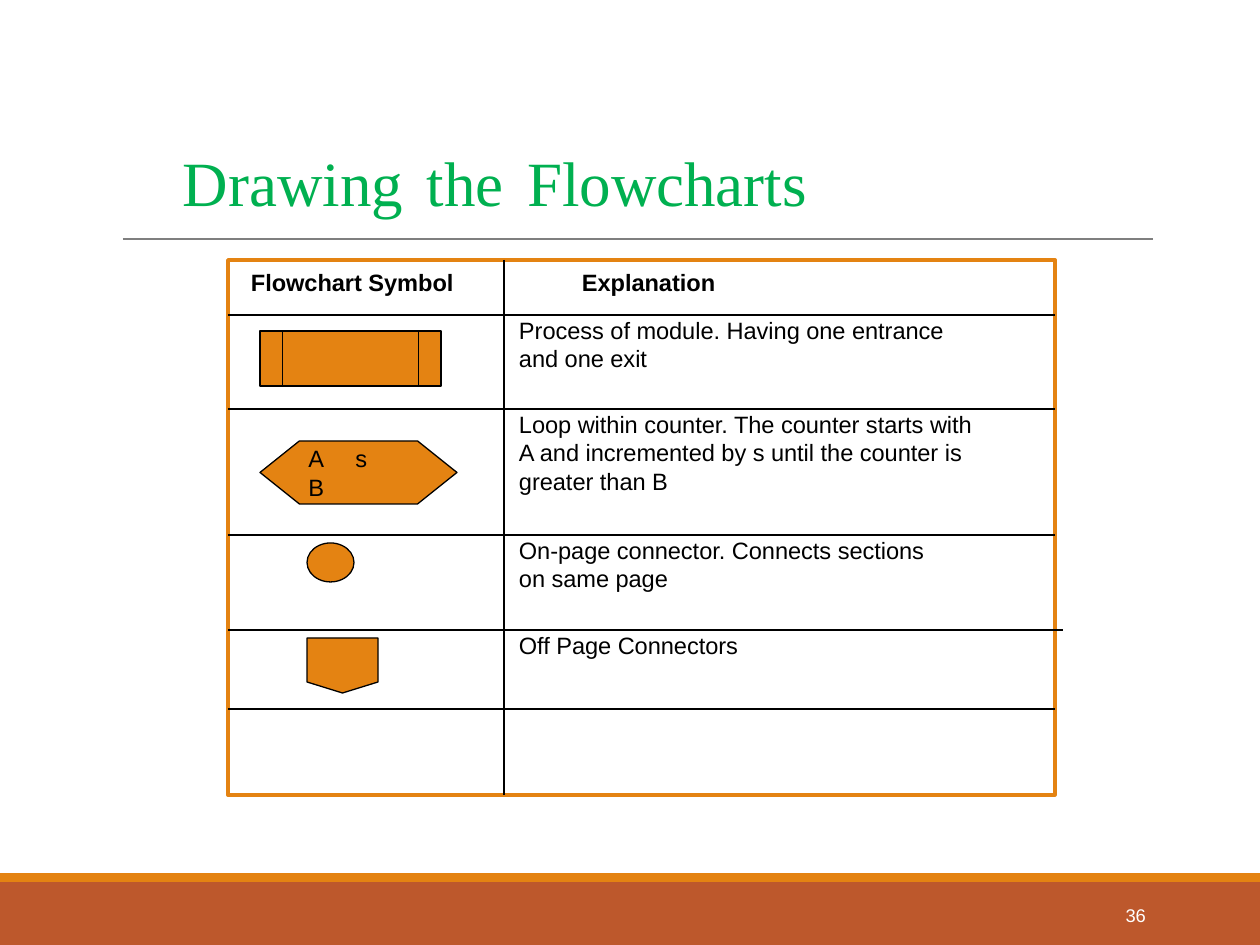
from dataclasses import dataclass

from lxml import etree
from pptx import Presentation
from pptx.dml.color import RGBColor
from pptx.enum.shapes import MSO_CONNECTOR, MSO_SHAPE
from pptx.enum.text import MSO_ANCHOR, MSO_AUTO_SIZE, PP_ALIGN
from pptx.oxml.ns import qn
from pptx.util import Emu, Pt

LEFT, RIGHT = PP_ALIGN.LEFT, PP_ALIGN.RIGHT
TOP, MIDDLE = MSO_ANCHOR.TOP, MSO_ANCHOR.MIDDLE
RECTANGLE = MSO_SHAPE.RECTANGLE
PX_PER_INCH = 126
COLORS = {
    "orange": "E48312", "rust": "BD582C", "gray": "7F7F7F", "black": "000000",
    "white": "FFFFFF", "green": "00B050", "magenta": "CC00FF",
}
TABLE_LEFT, TABLE_TOP, TABLE_RIGHT, TABLE_BOTTOM = 228, 260, 1055, 795
COLUMN_X = 504
TEXT_X = 510
TEXT_RISE = 4  # explanations start slightly above the row line
BODY = {"name": "Arial", "size": 13.5, "color": "black"}
HEADING = {**BODY, "bold": True}


@dataclass
class Box:
    x: int
    y: int
    width: int
    height: int


@dataclass
class Symbol:
    kind: int
    box: Box
    text: str = ""


@dataclass
class Explanation:
    row_top: int
    width: int
    height: int
    text: str


SYMBOLS = [
    Symbol(MSO_SHAPE.FLOWCHART_PREDEFINED_PROCESS, Box(260, 331, 181, 55)),
    Symbol(MSO_SHAPE.FLOWCHART_PREPARATION, Box(260, 441, 197, 63), "A\ts\vB"),
    Symbol(MSO_SHAPE.OVAL, Box(307, 543, 47, 39)),
    Symbol(MSO_SHAPE.FLOWCHART_OFFPAGE_CONNECTOR, Box(307, 638, 71, 55)),
]
EXPLANATIONS = [
    Explanation(315, 474, 67, "Process of module. Having one entrance and one exit"),
    Explanation(409, 474, 95, "Loop within counter. The counter starts with A and "
                              "incremented by s until the counter is greater than B"),
    Explanation(535, 435, 67, "On-page connector. Connects sections on same page"),
    Explanation(630, 239, 38, "Off Page Connectors"),
]
# Row line height on the page and where it ends on the right
ROW_LINES = {315: TABLE_RIGHT, 409: TABLE_RIGHT, 535: TABLE_RIGHT,
             630: 1063, 709: TABLE_RIGHT}


def px(length: int) -> Emu:
    return Emu(round(length * 914400 / PX_PER_INCH))


def place(box: Box) -> tuple:
    return px(box.x), px(box.y), px(box.width), px(box.height)


def rgb(name: str) -> RGBColor:
    return RGBColor.from_string(COLORS[name])


def format_font(font, style: dict) -> None:
    for key, value in style.items():
        if key == "color":
            font.color.rgb = rgb(value)
        else:
            setattr(font, key, Pt(value) if key == "size" else value)


def format_frame(frame, anchor: int = TOP, side: int = 9, edge: int = 5) -> None:
    settings = {
        "word_wrap": True, "auto_size": MSO_AUTO_SIZE.NONE, "vertical_anchor": anchor,
        "margin_left": px(side), "margin_right": px(side),
        "margin_top": px(edge), "margin_bottom": px(edge),
    }
    for key, value in settings.items():
        setattr(frame, key, value)


def add_shape(page, kind: int, box: Box, fill: str, line: str = "", points: float = 0.75):
    shape = page.shapes.add_shape(kind, *place(box))
    shape.shadow.inherit = False
    shape.fill.solid()
    shape.fill.fore_color.rgb = rgb(fill)
    if line:
        shape.line.color.rgb = rgb(line)
        shape.line.width = Pt(points)
    else:
        shape.line.fill.background()
    return shape


def add_line(page, x1: int, y1: int, x2: int, y2: int, color: str = "black") -> None:
    line = page.shapes.add_connector(MSO_CONNECTOR.STRAIGHT, px(x1), px(y1), px(x2), px(y2))
    line.line.color.rgb = rgb(color)
    line.line.width = Pt(0.75)
    etree.SubElement(line.element.spPr, qn("a:effectLst"))


def add_text(page, box: Box, text: str, style: dict) -> object:
    frame = page.shapes.add_textbox(*place(box)).text_frame
    format_frame(frame)
    para = frame.paragraphs[0]
    para.text = text
    format_font(para.font, style)
    return frame


def add_symbol(page, symbol: Symbol) -> None:
    shape = add_shape(page, symbol.kind, symbol.box, "orange", "black")
    if symbol.text:
        format_frame(shape.text_frame, MIDDLE)
        para = shape.text_frame.paragraphs[0]
        para.text = symbol.text
        para.alignment = LEFT
        # Tab stop between the start value and the step
        tabs = etree.SubElement(para._p.get_or_add_pPr(), qn("a:tabLst"))
        etree.SubElement(tabs, qn("a:tab"), pos=str(px(47)), algn="l")
        format_font(para.font, BODY)


def set_title(page) -> None:
    title = page.shapes.title
    title.left, title.top, title.width, title.height = place(Box(174, 122, 1013, 118))
    format_frame(title.text_frame, MIDDLE)
    para = title.text_frame.paragraphs[0]
    para.alignment = LEFT
    para.line_spacing = 0.85
    word = {"name": "Times New Roman", "size": 36, "color": "green"}
    gap = {"name": "Arial", "size": 48, "color": "magenta"}
    for text in ("Drawing", " ", "the", " ", "Flowcharts"):
        span = para.add_run()
        span.text = text
        format_font(span.font, gap if text == " " else word)


def main() -> None:
    deck = Presentation()
    deck.slide_width, deck.slide_height = px(1260), px(945)
    page = deck.slides.add_slide(deck.slide_layouts[5])

    # Footer bands, title and its rule
    add_shape(page, RECTANGLE, Box(0, 882, 1260, 63), "rust")
    add_shape(page, RECTANGLE, Box(0, 873, 1260, 9), "orange")
    add_line(page, 123, 239, 1153, 239, "gray")
    set_title(page)

    # Table frame and grid lines
    frame_box = Box(TABLE_LEFT, TABLE_TOP, TABLE_RIGHT - TABLE_LEFT, TABLE_BOTTOM - TABLE_TOP)
    add_shape(page, RECTANGLE, frame_box, "white", "orange", 2)
    add_line(page, COLUMN_X, TABLE_TOP, COLUMN_X, TABLE_BOTTOM)
    for y, end in ROW_LINES.items():
        add_line(page, TABLE_LEFT, y, end, y)

    # Headings, explanations and symbols
    add_text(page, Box(242, 263, 223, 38), "Flowchart Symbol", HEADING)
    add_text(page, Box(573, 263, 153, 38), "Explanation", HEADING)
    for item in EXPLANATIONS:
        box = Box(TEXT_X, item.row_top - TEXT_RISE, item.width, item.height)
        add_text(page, box, item.text, BODY)
    for symbol in SYMBOLS:
        add_symbol(page, symbol)

    # Page number
    number = add_text(page, Box(1023, 890, 136, 50), "36",
                      {**BODY, "size": 10.5, "color": "white"})
    format_frame(number, MIDDLE, 13, 6)
    number.paragraphs[0].alignment = RIGHT

    deck.save("out.pptx")


if __name__ == "__main__":
    main()
